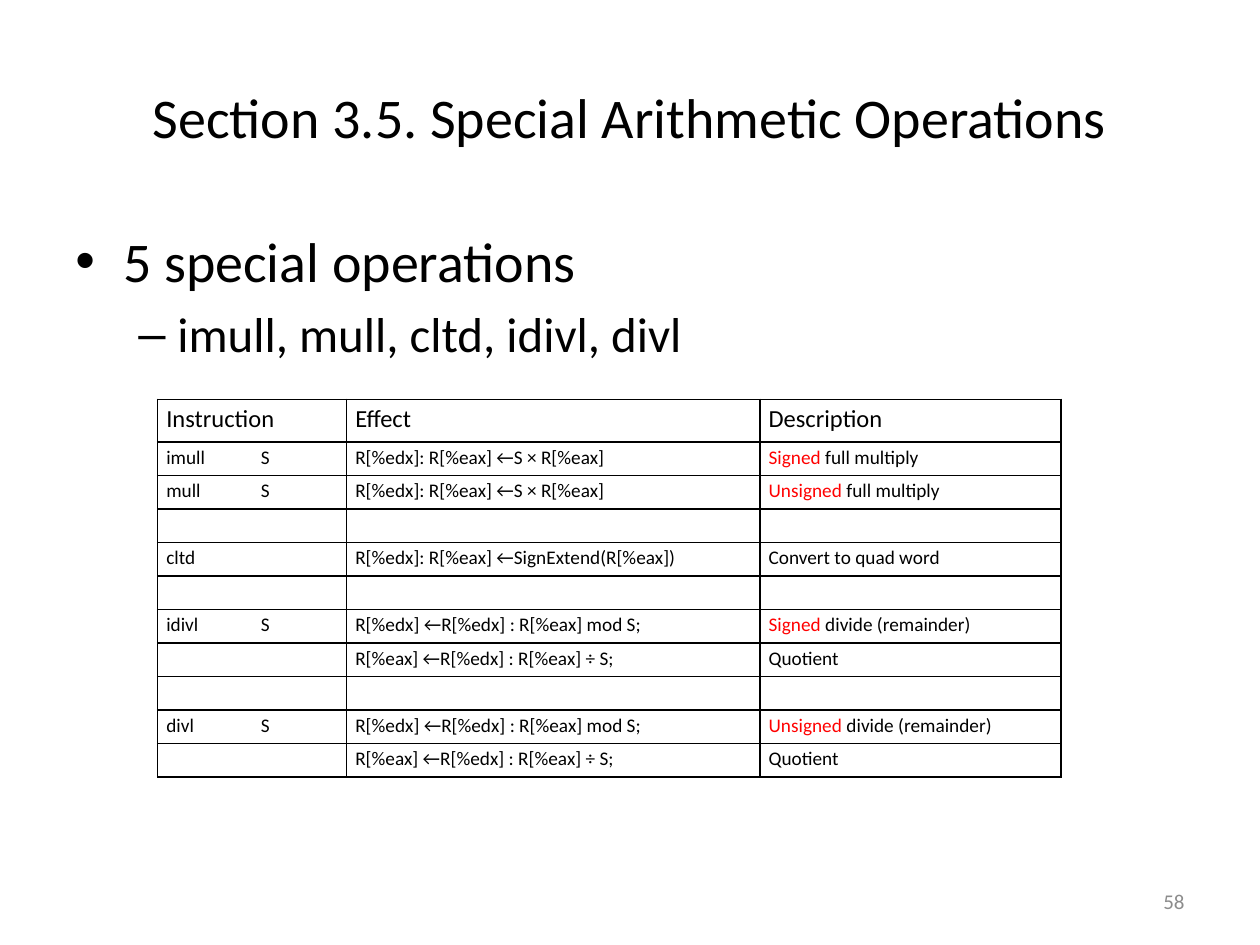
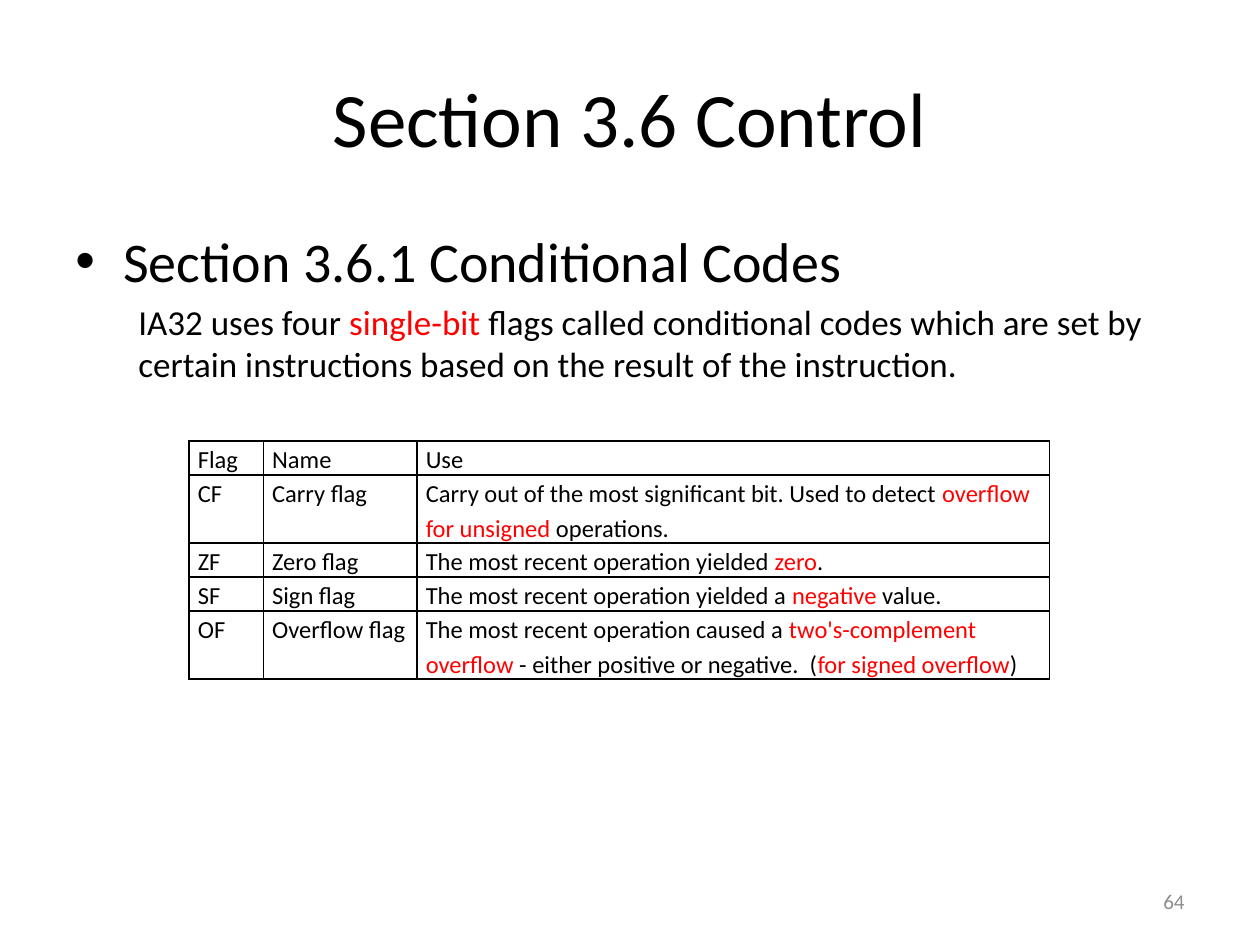
"""Build two lecture slides on IA32 special arithmetic operations and condition codes."""

from lxml.etree import SubElement
from pptx import Presentation
from pptx.dml.color import RGBColor
from pptx.enum.text import MSO_ANCHOR, PP_ALIGN
from pptx.oxml import parse_xml
from pptx.oxml.ns import nsdecls, qn
from pptx.util import Inches, Pt

COLORS = {"text": "000000", "accent": "FF0000", "number": "8C8C8C"}
FONT = "Calibri"

OPERATIONS = [
    ["Instruction", "Effect", "Description"],
    ["imull\tS", "R[%edx]: R[%eax] ←S × R[%eax]", "*Signed* full multiply"],
    ["mull\tS", "R[%edx]: R[%eax] ←S × R[%eax]", "*Unsigned* full multiply"],
    ["", "", ""],
    ["cltd", "R[%edx]: R[%eax] ←SignExtend(R[%eax])", "Convert to quad word"],
    ["", "", ""],
    ["idivl\tS", "R[%edx] ←R[%edx] : R[%eax] mod S;", "*Signed* divide (remainder)"],
    ["", "R[%eax] ←R[%edx] : R[%eax] ÷ S;", "Quotient"],
    ["", "", ""],
    ["divl\tS", "R[%edx] ←R[%edx] : R[%eax] mod S;", "*Unsigned* divide (remainder)"],
    ["", "R[%eax] ←R[%edx] : R[%eax] ÷ S;", "Quotient"],
]

FLAGS = [
    ["Flag", "Name", "Use"],
    ["CF", "Carry flag", "Carry out of the most significant bit. Used to detect "
                         "*overflow for unsigned* operations."],
    ["ZF", "Zero flag", "The most recent operation yielded *zero*."],
    ["SF", "Sign flag", "The most recent operation yielded a *negative *value."],
    ["OF", "Overflow flag", "The most recent operation caused a *two's-complement overflow *"
                            "- either positive or negative.  (*for signed overflow*)"],
]


def format_run(r, size, color="text"):
    """Apply the shared font with a size and a named colour."""
    r.font.name = FONT
    r.font.size = Pt(size)
    r.font.color.rgb = RGBColor.from_string(COLORS[color])


def write_runs(p, text, size):
    """Write text into a paragraph, with *starred* parts in the accent colour."""
    for i, part in enumerate(text.split("*")):
        if part:
            r = p.add_run()
            r.text = part
            format_run(r, size, "accent" if i % 2 else "text")


def add_title_slide(prs, title, size):
    """Add a title-only slide and place its title."""
    slide = prs.slides.add_slide(prs.slide_layouts[5])
    sp = slide.shapes.title
    sp.left, sp.top, sp.width, sp.height = Inches(0.5), Inches(0.3), Inches(9), Inches(1.25)
    tf = sp.text_frame
    tf.text = title
    tf.vertical_anchor = MSO_ANCHOR.MIDDLE
    p = tf.paragraphs[0]
    p.alignment = PP_ALIGN.CENTER
    format_run(p.runs[0], size)
    return slide


def add_body(slide, items):
    """Add an outline from (text, size, bullet, left margin, indent) items."""
    sp = slide.shapes.add_textbox(Inches(0.5), Inches(1.75), Inches(9), Inches(4.95))
    tf = sp.text_frame
    tf.word_wrap = True
    for i, (text, size, bullet, margin, indent) in enumerate(items):
        p = tf.add_paragraph() if i else tf.paragraphs[0]
        pPr = p._p.get_or_add_pPr()
        pPr.set("marL", str(Inches(margin)))
        pPr.set("indent", str(Inches(indent)))
        if bullet:
            SubElement(pPr, qn("a:buFont"), typeface="Arial")
            SubElement(pPr, qn("a:buChar"), char=bullet)
        else:
            SubElement(pPr, qn("a:buNone"))
        if i:
            p.space_before = Pt(size * 0.2)
        write_runs(p, text, size)


def set_borders(cell):
    """Draw a one-point line on every side of a cell."""
    tcPr = cell._tc.get_or_add_tcPr()
    for i, side in enumerate("LRTB"):
        tcPr.insert(i, parse_xml(
            f'<a:ln{side} {nsdecls("a")} w="{Pt(1)}"><a:solidFill>'
            f'<a:srgbClr val="{COLORS["text"]}"/></a:solidFill></a:ln{side}>'))


def fill_cell(cell, text, size):
    """Write and format one table cell."""
    cell.margin_left = cell.margin_right = Inches(0.07)
    cell.margin_top = cell.margin_bottom = 0
    cell.fill.background()
    set_borders(cell)
    p = cell.text_frame.paragraphs[0]
    p.line_spacing = 1.15
    if "\t" in text:
        tabs = SubElement(p._p.get_or_add_pPr(), qn("a:tabLst"))
        SubElement(tabs, qn("a:tab"), pos=str(Inches(0.75)), algn="l")
    write_runs(p, text, size)
    if not text:
        SubElement(p._p, qn("a:endParaRPr"), sz=str(size * 100))


def add_grid(slide, left, top, rows, widths, heights, sizes):
    """Add a ruled table; heights and sizes hold one value per row."""
    frame = slide.shapes.add_table(len(rows), len(widths), Inches(left), Inches(top),
                                   Inches(sum(widths)), Inches(sum(heights)))
    table = frame.table
    table.first_row = table.horz_banding = False
    for column, width in zip(table.columns, widths):
        column.width = Inches(width)
    for row, texts, height, size in zip(table.rows, rows, heights, sizes):
        row.height = Inches(height)
        for cell, text in zip(row.cells, texts):
            fill_cell(cell, text, size)


def add_number(slide, number):
    """Add the slide number at the bottom right."""
    sp = slide.shapes.add_textbox(Inches(7.17), Inches(6.95), Inches(2.33), Inches(0.4))
    tf = sp.text_frame
    tf.word_wrap = True
    tf.vertical_anchor = MSO_ANCHOR.MIDDLE
    tf.text = str(number)
    p = tf.paragraphs[0]
    p.alignment = PP_ALIGN.RIGHT
    format_run(p.runs[0], 12, "number")


def main():
    """Build both slides and save the deck."""
    prs = Presentation()
    prs.slide_width, prs.slide_height = Inches(10), Inches(7.5)

    slide = add_title_slide(prs, "Section 3.5. Special Arithmetic Operations", 32)
    add_body(slide, [
        ("5 special operations", 32, "•", 0.38, -0.38),
        ("imull, mull, cltd, idivl, divl", 28, "–", 0.81, -0.31),
    ])
    entries = len(OPERATIONS) - 1
    header = 0.34
    add_grid(slide, 1.25, 3.17, OPERATIONS, [1.5, 3.28, 2.39],
             [header] + [(3 - header) / entries] * entries, [14] + [11] * entries)
    add_number(slide, 58)

    slide = add_title_slide(prs, "Section 3.6 Control", 44)
    add_body(slide, [
        ("Section 3.6.1 Conditional Codes", 32, "•", 0.38, -0.38),
        ("IA32 uses four *single-bit* flags called conditional codes which are set by "
         "certain instructions based on the result of the instruction.", 20, None, 0.5, 0),
    ])
    line = 0.27
    add_grid(slide, 1.5, 3.5, FLAGS, [0.59, 1.22, 5.02],
             [line * n for n in (1, 2, 1, 1, 2)], [14] * len(FLAGS))
    add_number(slide, 64)

    prs.save("out.pptx")


if __name__ == "__main__":
    main()
